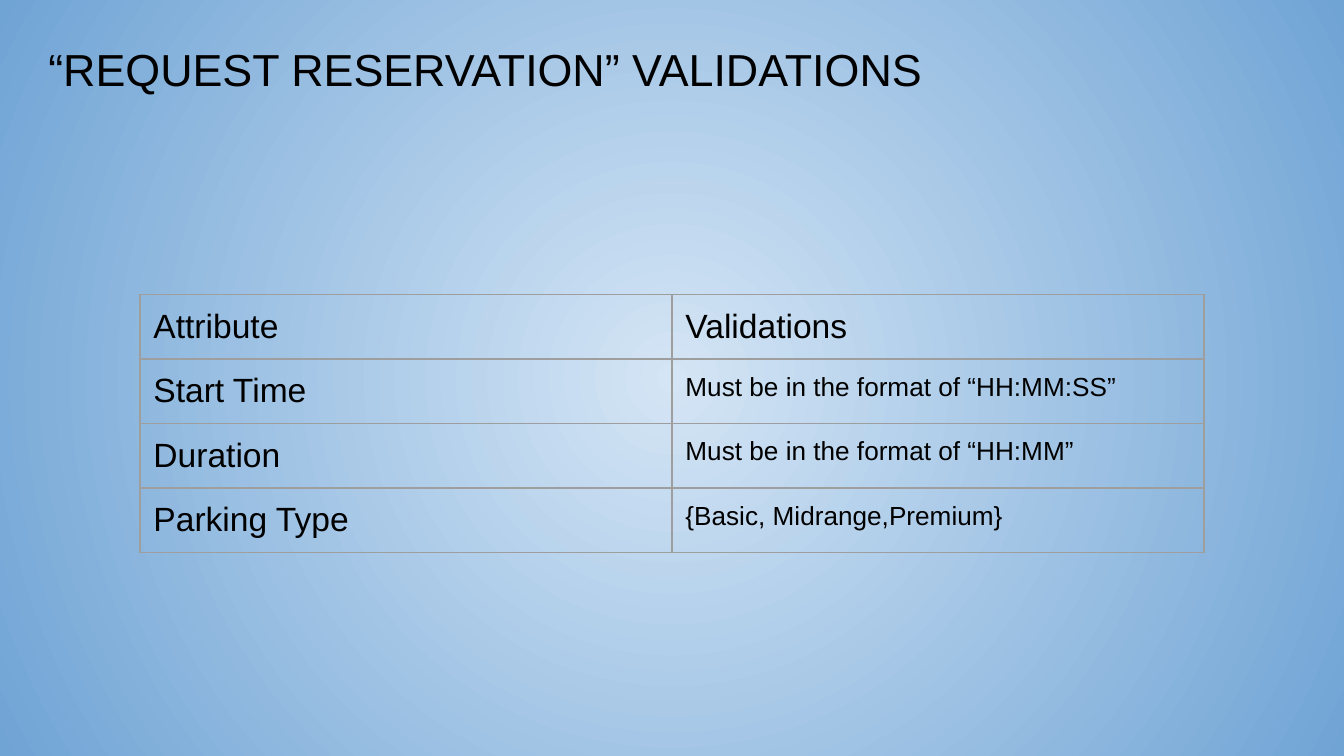
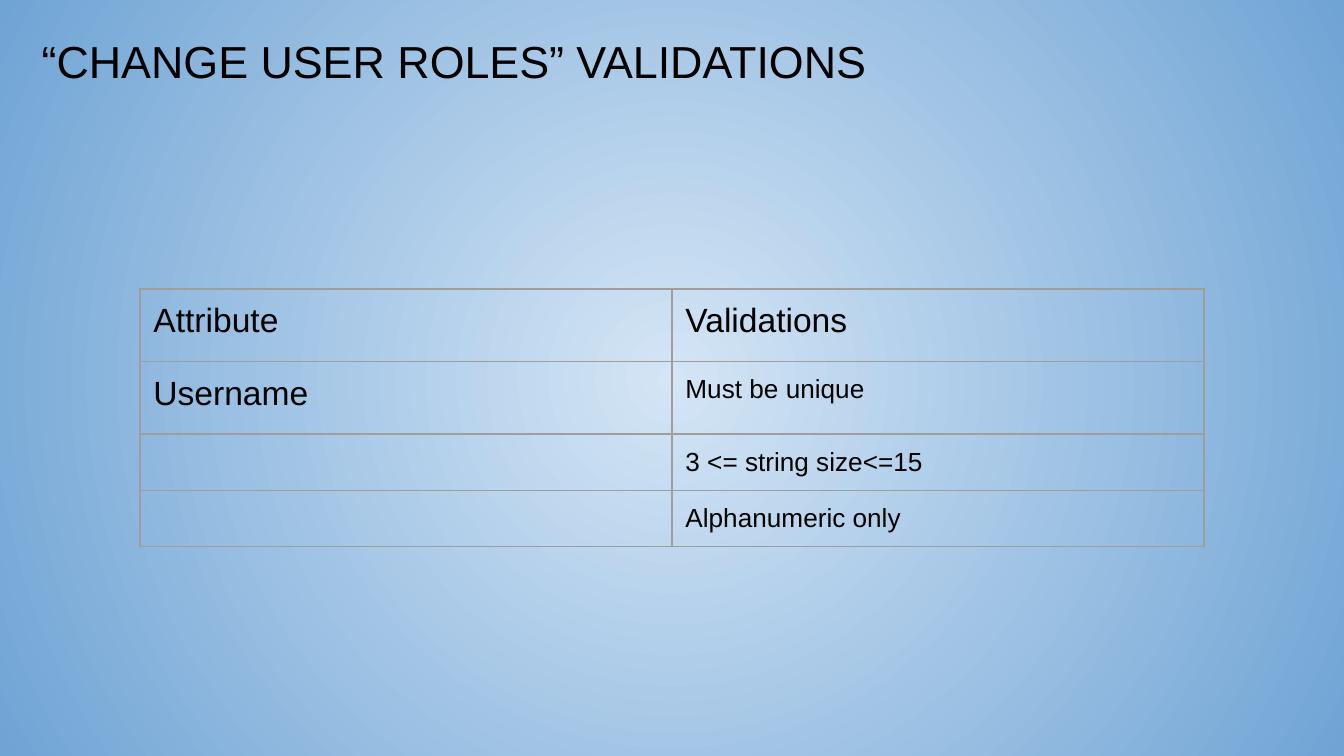
"""Builds two slides that list the validation rules of a parking system."""
from lxml import etree
from pptx import Presentation
from pptx.dml.color import RGBColor
from pptx.enum.text import MSO_ANCHOR, MSO_AUTO_SIZE, PP_ALIGN
from pptx.oxml import parse_xml
from pptx.oxml.ns import nsdecls, qn
from pptx.util import Inches, Pt

TOP = MSO_ANCHOR.TOP
LEFT = PP_ALIGN.LEFT
NO_AUTOFIT = MSO_AUTO_SIZE.NONE

FONT = "Arial"
INK = "000000"
RULE = "9E9E9E"
GLOW = ("D4E5F5", "70A4D5")
TITLE_SIZE, LABEL_SIZE, DETAIL_SIZE = 24, 18, 14
INSET = Inches(0.1)
SLIDE_WIDTH = Inches(10)
SLIDE_HEIGHT = SLIDE_WIDTH * 9 // 16
COLUMN_WIDTH = Pt(285)
HEADINGS = ("Attribute", "Validations")

VALIDATIONS = [
    {
        "title": "“REQUEST RESERVATION” VALIDATIONS",
        "title_box": (0.26, 0.21, 9.27, 0.54),
        "table_top": 2.19,
        "row_heights": (0.42, 0.42, 0.42, 0.42),
        "rules": [
            ("Start Time", "Must be in the format of “HH:MM:SS”"),
            ("Duration", "Must be in the format of “HH:MM”"),
            ("Parking Type", "{Basic, Midrange,Premium}"),
        ],
    },
    {
        "title": "“CHANGE USER ROLES” VALIDATIONS",
        "title_box": (0.21, 0.15, 9.48, 0.72),
        "table_top": 2.15,
        "row_heights": (0.54, 0.54, 0.42, 0.42),
        "rules": [
            ("Username", "Must be unique"),
            ("", "3 <= string size<=15"),
            ("", "Alphanumeric only"),
        ],
    },
]


def color(value):
    return RGBColor.from_string(value)


def write(frame, text, size, ink=INK, align=LEFT):
    paragraph = frame.paragraphs[0]
    paragraph.alignment = align
    if not text:
        ending = etree.SubElement(paragraph._p, qn("a:endParaRPr"), sz=str(size * 100))
        etree.SubElement(ending, qn("a:latin"), typeface=FONT)
        return
    run = paragraph.add_run()
    run.text = text
    run.font.name = FONT
    run.font.size = Pt(size)
    run.font.color.rgb = color(ink)


def set_insets(target):
    target.margin_left = target.margin_right = INSET
    target.margin_top = target.margin_bottom = INSET
    target.vertical_anchor = TOP


def paint_background(master):
    fill = master.background.fill
    fill.gradient()
    for stop, shade in zip(fill.gradient_stops, GLOW):
        stop.color.rgb = color(shade)
    gradient = master.element.find(".//" + qn("a:gradFill"))
    linear = gradient.find(qn("a:lin"))
    gradient.replace(linear, parse_xml(
        f'<a:path {nsdecls("a")} path="circle">'
        '<a:fillToRect l="50000" t="50000" r="50000" b="50000"/></a:path>'))


def add_borders(cell):
    properties = cell._tc.get_or_add_tcPr()
    for side in "LRTB":
        properties.append(parse_xml(
            f'<a:ln{side} {nsdecls("a")} w="{Pt(0.75)}"><a:solidFill>'
            f'<a:srgbClr val="{RULE}"/></a:solidFill></a:ln{side}>'))


def add_title(slide, text, box):
    title = slide.shapes.title
    title.left, title.top, title.width, title.height = map(Inches, box)
    frame = title.text_frame
    frame.word_wrap = True
    frame.auto_size = NO_AUTOFIT
    set_insets(frame)
    write(frame, text, TITLE_SIZE)


def add_rules(slide, rules, top, heights):
    rows = [HEADINGS, *rules]
    width = COLUMN_WIDTH * len(HEADINGS)
    table = slide.shapes.add_table(
        len(rows), len(HEADINGS), (SLIDE_WIDTH - width) // 2, Inches(top),
        width, Inches(sum(heights))).table
    table.first_row = table.horz_banding = False
    for column in table.columns:
        column.width = COLUMN_WIDTH
    for r, (texts, height) in enumerate(zip(rows, heights)):
        table.rows[r].height = Inches(height)
        for c, text in enumerate(texts):
            cell = table.cell(r, c)
            set_insets(cell)
            add_borders(cell)
            cell.fill.background()
            is_label = text and (r == 0 or c == 0)
            write(cell.text_frame, text, LABEL_SIZE if is_label else DETAIL_SIZE)


def main():
    deck = Presentation()
    deck.slide_width, deck.slide_height = SLIDE_WIDTH, SLIDE_HEIGHT
    paint_background(deck.slide_master)
    title_only = deck.slide_layouts.get_by_name("Title Only")
    for topic in VALIDATIONS:
        slide = deck.slides.add_slide(title_only)
        add_title(slide, topic["title"], topic["title_box"])
        add_rules(slide, topic["rules"], topic["table_top"], topic["row_heights"])
    deck.save("out.pptx")


if __name__ == "__main__":
    main()
